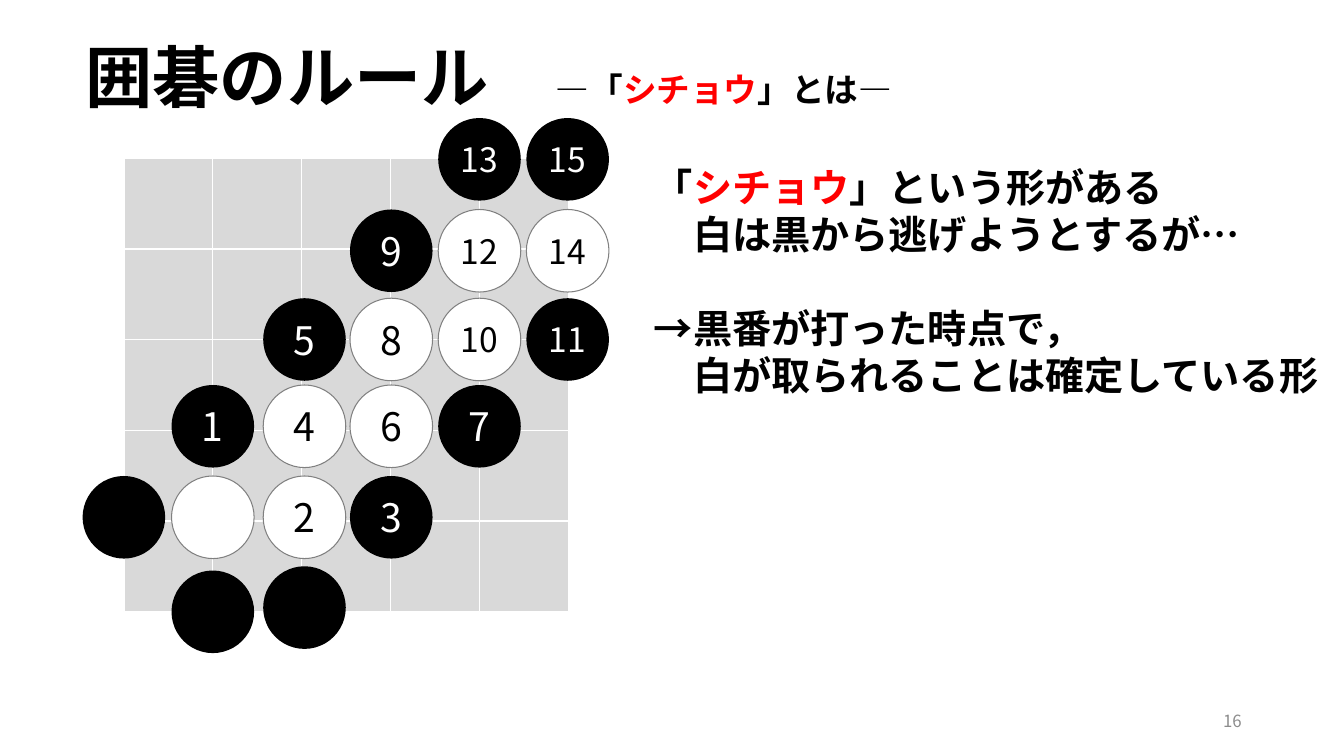
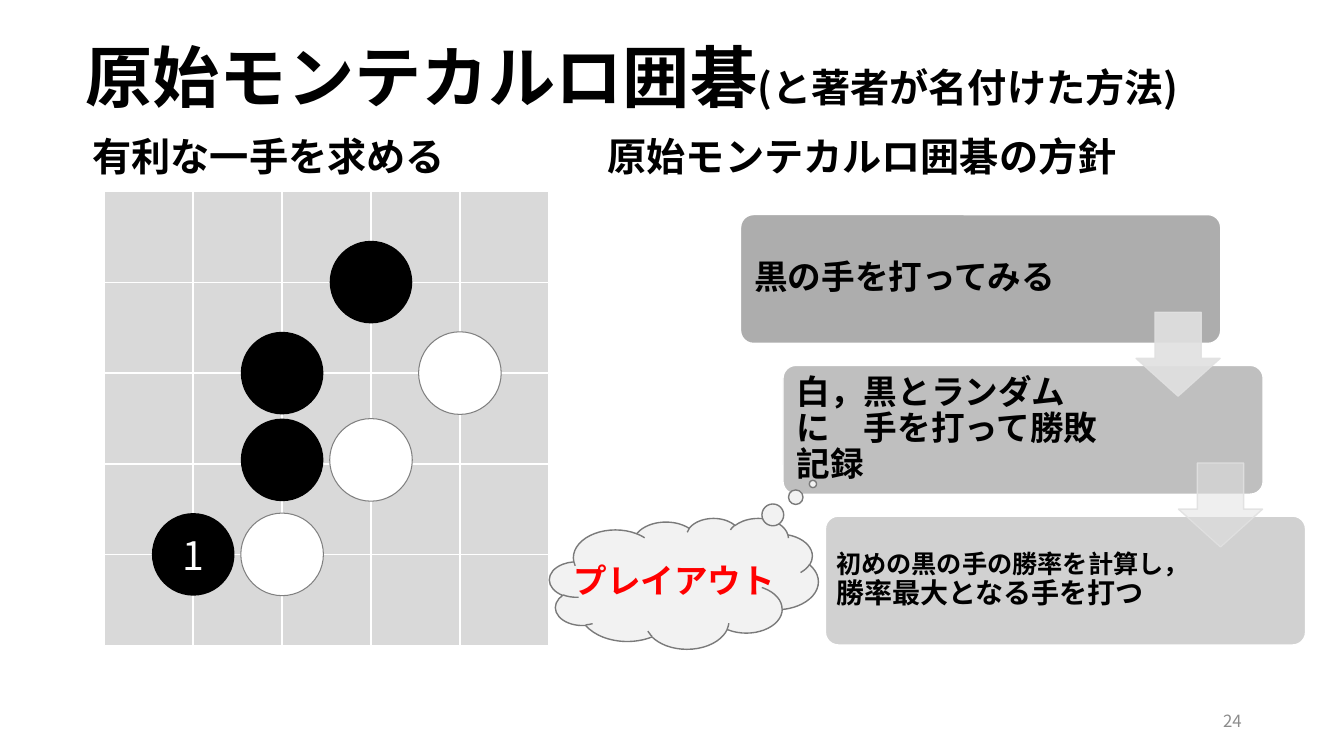
from itertools import product

from lxml import etree
from pptx import Presentation
from pptx.dml.color import RGBColor
from pptx.enum.shapes import MSO_SHAPE as SHAPE
from pptx.enum.text import MSO_ANCHOR as ANCHOR, PP_ALIGN as ALIGN
from pptx.oxml.ns import qn
from pptx.util import Pt

FONT = "Noto Sans CJK JP"
COLORS = {
    "black": "000000", "white": "FFFFFF", "red": "FF0000",
    "board": "D9D9D9", "stone_edge": "808080", "page": "8C8C8C",
    "step": "A5A5A5", "arrow": "E1E1E1", "cloud": "F2F2F2", "cloud_edge": "7A7A7A",
}
CELL_W, CELL_H, CELLS = 63.5, 64.8, 5
STONE = 59


def rgb(name):
    return RGBColor.from_string(COLORS[name])


# Text
def add_run(p, text, size, color="black", bold=True):
    r = p.add_run()
    r.text = text
    r.font.size, r.font.bold, r.font.name = Pt(size), bold, FONT
    r.font.color.rgb = rgb(color)
    etree.SubElement(r.font._element, qn("a:ea"), typeface=FONT)


def add_text(s, left, top, width, height, paragraphs, wrap=False, anchor=ANCHOR.TOP):
    """Each paragraph is a list of runs: (text, size[, color[, bold]])."""
    tf = s.shapes.add_textbox(Pt(left), Pt(top), Pt(width), Pt(height)).text_frame
    tf.word_wrap, tf.vertical_anchor = wrap, anchor
    for i, runs in enumerate(paragraphs):
        p = tf.add_paragraph() if i else tf.paragraphs[0]
        for run in runs:
            add_run(p, *run)
    return tf


# Shapes
def set_alpha(fill_format, percent):
    color = fill_format._xPr.find(qn("a:solidFill"))[0]
    etree.SubElement(color, qn("a:alpha"), val=str(percent * 1000))


def add_shape(s, kind, left, top, width, height, fill, line=None, line_width=1, adj=()):
    sp = s.shapes.add_shape(kind, Pt(left), Pt(top), Pt(width), Pt(height))
    sp.shadow.inherit = False
    sp.fill.solid()
    sp.fill.fore_color.rgb = rgb(fill)
    if line:
        sp.line.color.rgb = rgb(line)
        sp.line.width = Pt(line_width)
    else:
        sp.line.fill.background()
    for i, value in enumerate(adj):
        sp.adjustments[i] = value
    return sp


def add_label(sp, *run):
    tf = sp.text_frame
    tf.word_wrap, tf.vertical_anchor = False, ANCHOR.MIDDLE
    tf.paragraphs[0].alignment = ALIGN.CENTER
    add_run(tf.paragraphs[0], *run)


# Go board
def add_board(s, left, top):
    for row, col in product(range(CELLS), repeat=2):
        add_shape(s, SHAPE.RECTANGLE, left + col * CELL_W, top + row * CELL_H,
                  CELL_W, CELL_H, "board", "white")


def add_stone(s, left, top, black, label=""):
    fill, ink = ("black", "white") if black else ("white", "black")
    sp = add_shape(s, SHAPE.OVAL, left, top, STONE, STONE, fill,
                   None if black else "stone_edge", 0.75)
    if label:
        add_label(sp, label, 28 if len(label) == 1 else 24, ink, False)


# Flow of steps
def add_step(s, left, top, alpha, runs, inset):
    sp = add_shape(s, SHAPE.ROUNDED_RECTANGLE, left, top, 343, 92, "step", "white", adj=[0.1])
    set_alpha(sp.fill, alpha)
    tf = sp.text_frame
    tf.word_wrap, tf.vertical_anchor = True, ANCHOR.MIDDLE
    tf.margin_left = tf.margin_top = tf.margin_bottom = Pt(inset)
    tf.margin_right = Pt(90 + inset)
    p = tf.paragraphs[0]
    p.alignment, p.line_spacing = ALIGN.LEFT, 0.9
    for run in runs:
        add_run(p, *run)


def add_step_arrow(s, left, top, alpha):
    sp = add_shape(s, SHAPE.DOWN_ARROW, left, top, 60, 60, "arrow", "arrow", adj=[0.55, 0.45])
    set_alpha(sp.fill, alpha)
    set_alpha(sp.line.fill, 90)


# Slides
def new_slide(prs, title, page):
    s = prs.slides.add_slide(prs.slide_layouts[6])
    tf = add_text(s, 678, 500.5, 216, 28.5, [[(page, 12, "page", False)]], True, ANCHOR.MIDDLE)
    tf.paragraphs[0].alignment = ALIGN.RIGHT
    tf = add_text(s, 54, 18, 828, 69, [title], True, ANCHOR.BOTTOM)
    tf.paragraphs[0].line_spacing = 0.9
    return s


def ladder_slide(prs):
    s = new_slide(prs, [("囲碁のルール　", 48), ("―「", 24), ("シチョウ", 24, "red"),
                        ("」とは―", 24)], "16")
    add_board(s, 88.5, 113)
    xs = [59, 122.5, 188, 250, 313, 376]
    ys = [84.3, 149.6, 213, 275, 340, 407.5]
    for col, row, black in [(0, 4, True), (1, 5, True), (1, 4, False)]:
        add_stone(s, xs[col], ys[row], black)
    add_stone(s, xs[2], ys[5] - 3, True)

    # Moves in order; black plays the odd numbers
    moves = [(1, 3), (2, 4), (3, 4), (2, 3), (2, 2), (3, 3), (4, 3), (3, 2),
             (3, 1), (4, 2), (5, 2), (4, 1), (4, 0), (5, 1), (5, 0)]
    for number, (col, row) in enumerate(moves, 1):
        add_stone(s, xs[col], ys[row], number % 2 == 1, str(number))

    tf = add_text(s, 460, 113, 495, 177, [
        [("「", 28), ("シチョウ", 28, "red"), ("」という形がある", 28)],
        [("　白は黒から逃げようとするが…", 28)],
        [("→黒番が打った時点で，", 28)],
        [("　白が取られることは確定している形", 28)],
    ])
    tf.paragraphs[2].space_before = Pt(33.5)


def monte_carlo_slide(prs):
    s = new_slide(prs, [("原始モンテカルロ囲碁", 48), ("(と著者が名付けた方法)", 28)], "24")
    add_board(s, 74.5, 137)
    ys = [172, 237, 299, 366.5]
    stones = [(1, 1, True), (2, 2, False), (1, 2, True), (1, 3, False),
              (2, 0, True), (3, 1, False), (0, 3, True, "1")]
    for col, row, *look in stones:
        add_stone(s, 108.5 + col * CELL_W, ys[row], *look)

    for left, width, heading in [(59, 269, "有利な一手を求める"),
                                 (427, 382, "原始モンテカルロ囲碁の方針")]:
        add_text(s, left, 91, width, 41, [[(heading, 28)]])

    steps = [
        (90, [("黒の手を打ってみる", 24)], 7.2),
        (70, [("白，黒とランダムに　手を打って勝敗記録", 24)], 7.2),
        (50, [("初めの黒の手の勝率を計算し，", 18), ("勝率最大となる手を打つ", 20)], 5),
    ]
    step_x, step_y = 30.3, 107.7
    for i, step in enumerate(steps):
        add_step(s, 529 + i * step_x, 153.3 + i * step_y, *step)
    for i, alpha in enumerate([90, 50]):
        add_step_arrow(s, 811.5 + i * step_x, 223 + i * step_y, alpha)

    cloud = add_shape(s, SHAPE.CLOUD_CALLOUT, 392.5, 370, 192, 93.5, "cloud", "cloud_edge",
                      adj=[0.48, -0.76])
    add_label(cloud, "プレイアウト", 24, "red")


def main():
    prs = Presentation()
    prs.slide_width, prs.slide_height = Pt(960), Pt(540)
    ladder_slide(prs)
    monte_carlo_slide(prs)
    prs.save("out.pptx")


if __name__ == "__main__":
    main()
